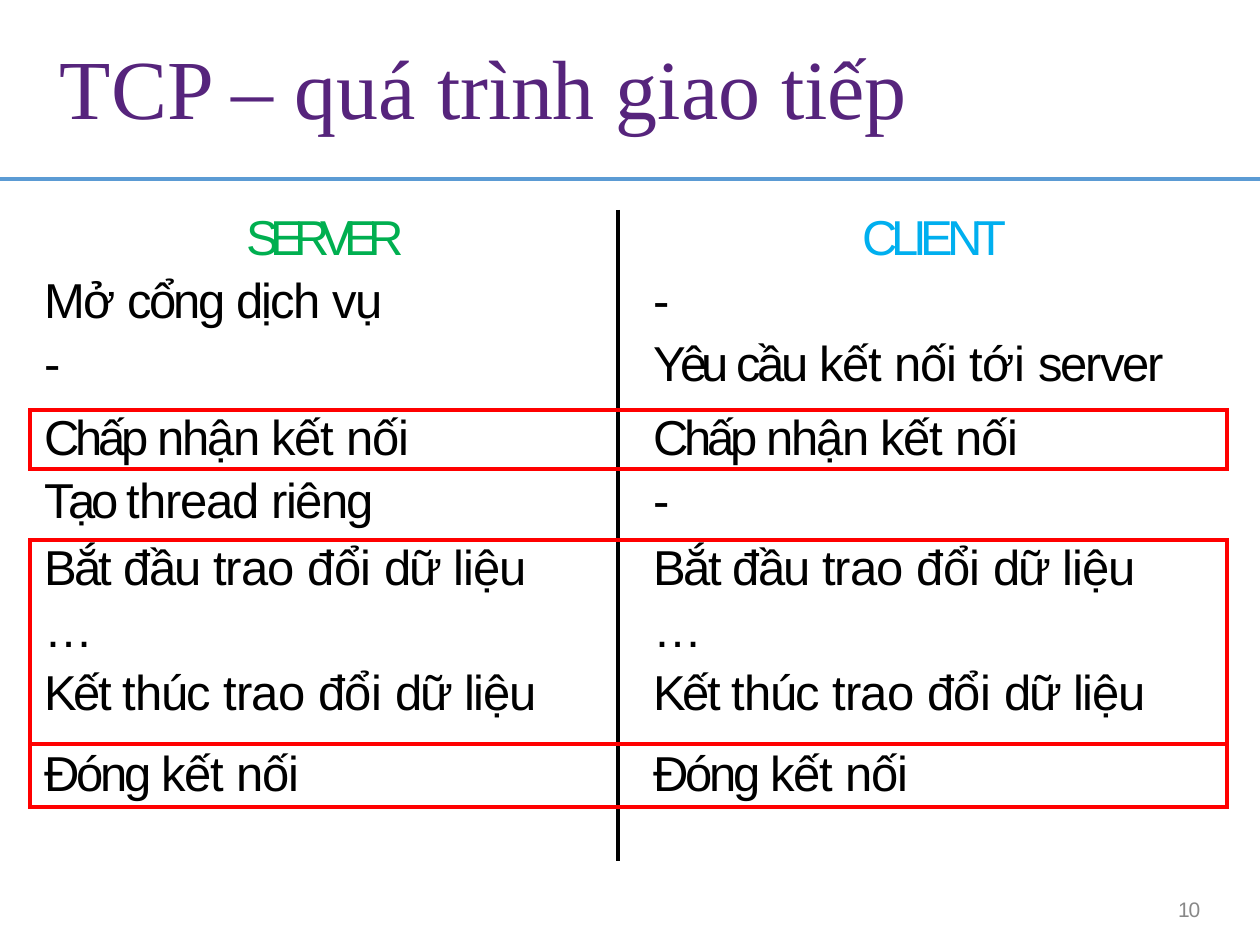
from lxml.etree import SubElement
from pptx import Presentation
from pptx.dml.color import RGBColor
from pptx.enum.shapes import MSO_CONNECTOR
from pptx.enum.text import MSO_ANCHOR, PP_ALIGN
from pptx.oxml.ns import qn
from pptx.util import Pt

PX = 914400 / 126
PURPLE = RGBColor(0x56, 0x24, 0x7C)
BLUE = RGBColor(0x5B, 0x9B, 0xD4)
GREEN = RGBColor(0x00, 0xAF, 0x50)
CYAN = RGBColor(0x00, 0xAF, 0xEF)
GRAY = RGBColor(0x88, 0x88, 0x88)
BLACK = RGBColor(0x00, 0x00, 0x00)
RED = RGBColor(0xFF, 0x00, 0x00)

# Letter spacing of each word in points; other words have none
WORD_SPACING = {
    "trình": -0.1, "tiếp": -0.1, "10": -0.6, "SERVER": -4.9, "CLIENT": -3.5,
    "Mở": -0.8, "cổng": -1.6, "dịch": -1, "vụ": -1.1,
    "Yêu": -3.2, "cầu": -1.9, "kết": -0.8, "nối": -0.6, "tới": -0.3, "server": -1.2,
    "Chấp": -2.4, "nhận": -1.2, "Tạo": -2.9, "thread": -0.7, "riêng": -0.9,
    "Bắt": -1.4, "đầu": -1.1, "trao": -0.5, "đổi": -0.3, "dữ": -1.4, "liệu": -0.6,
    "Kết": -1.6, "thúc": -0.7, "Đóng": -1.8,
}


def px(length):
    return round(length * PX)


def write_words(paragraph, text, font_name, size, color, indent=0):
    """Write one run per word, each with its own letter spacing."""
    words = text.split()
    for number, word in enumerate(words, 1):
        run = paragraph.add_run()
        run.text = word if number == len(words) else word + " "
        run.font.name = font_name
        run.font.size = Pt(size)
        run.font.color.rgb = color
        run._r.get_or_add_rPr().set("spc", str(round(WORD_SPACING.get(word, 0) * 100)))
    properties = paragraph._p.get_or_add_pPr()
    properties.set("marL", str(px(indent)))
    properties.set("indent", "0")


presentation = Presentation()
presentation.slide_width = px(1260)
presentation.slide_height = px(945)
slide = presentation.slides.add_slide(presentation.slide_layouts[5])

# Title and rule
title = slide.shapes.title
title.left, title.top, title.width, title.height = px(59), px(35), px(852), px(105)
title_frame = title.text_frame
title_frame.word_wrap = True
title_frame.vertical_anchor = MSO_ANCHOR.TOP
title_paragraph = title_frame.paragraphs[0]
title_paragraph.alignment = PP_ALIGN.LEFT
title_paragraph.space_before = Pt(1)
write_words(title_paragraph, "TCP – quá trình giao tiếp", "Times New Roman", 48, PURPLE, 1)

rule = slide.shapes.add_connector(MSO_CONNECTOR.STRAIGHT, 0, px(179), px(1260), px(179))
rule.line.color.rgb = BLUE
rule.line.width = Pt(2.04)
SubElement(rule._element.spPr, qn("a:effectLst"))

# Slide number
number_box = slide.shapes.add_textbox(px(1174), px(900), px(29), px(24))
number_frame = number_box.text_frame
number_frame.word_wrap = True
number_paragraph = number_frame.paragraphs[0]
number_paragraph.line_spacing = Pt(12.4)
write_words(number_paragraph, "10", "Arial", 12, GRAY, 4)

for frame in (title_frame, number_frame):
    frame.margin_left = frame.margin_right = frame.margin_bottom = 0
    frame.margin_top = 0
title_frame.margin_top = px(1)

# Table: height, top margin, boxed, line spacing of the first line, space before, texts
EXCHANGE = ["Bắt đầu trao đổi dữ liệu", "…", "Kết thúc trao đổi dữ liệu"]
ROWS = [
    (200, 0, False, 31.9, [0, 4.7, 4.7],
     [["SERVER", "Mở cổng dịch vụ", "-"], ["CLIENT", "-", "Yêu cầu kết nối tới server"]]),
    (59, 0, True, 32.2, [0], [["Chấp nhận kết nối"]] * 2),
    (71, 5, False, None, [3], [["Tạo thread riêng"], ["-"]]),
    (204, 1, True, None, [0.9, 4.5, 4.8], [EXCHANGE] * 2),
    (63, 0, True, 33, [0], [["Đóng kết nối"]] * 2),
    (54, 0, False, None, [], [[], []]),
]
HEADING_STYLES = {"SERVER": (GREEN, 2), "CLIENT": (CYAN, 24)}
INDENTS = [14, 35]
boxed_rows = [row[2] for row in ROWS]

table_shape = slide.shapes.add_table(len(ROWS), 2, px(30), px(210), px(1197), px(651))
table = table_shape.table
table.first_row = False
table.horz_banding = False
table.columns[0].width = px(588)
table.columns[1].width = px(609)

for row_index, (height, margin_top, boxed, first_line, spaces, texts) in enumerate(ROWS):
    table.rows[row_index].height = px(height)
    top = RED if any(boxed_rows[max(row_index - 1, 0):row_index + 1]) else None
    bottom = RED if any(boxed_rows[row_index:row_index + 2]) else None
    side = RED if boxed else None
    for column_index, lines in enumerate(texts):
        cell = table.cell(row_index, column_index)
        cell.margin_left = cell.margin_right = cell.margin_bottom = 0
        cell.margin_top = px(margin_top)

        left, right = (side, BLACK) if column_index == 0 else (BLACK, side)
        cell_properties = cell._tc.get_or_add_tcPr()
        for tag, color in (("lnL", left), ("lnR", right), ("lnT", top), ("lnB", bottom)):
            border = SubElement(cell_properties, qn("a:" + tag), w=str(Pt(2.25)))
            if color is None:
                SubElement(border, qn("a:noFill"))
            else:
                fill = SubElement(border, qn("a:solidFill"))
                SubElement(fill, qn("a:srgbClr"), val=str(color))
        cell.fill.background()

        for line_index, (text, space) in enumerate(zip(lines, spaces)):
            text_frame = cell.text_frame
            paragraph = text_frame.add_paragraph() if line_index else text_frame.paragraphs[0]
            color, indent = HEADING_STYLES.get(text, (BLACK, INDENTS[column_index]))
            paragraph.space_before = Pt(space)
            if text in HEADING_STYLES:
                paragraph.alignment = PP_ALIGN.CENTER
            if first_line and line_index == 0:
                paragraph.line_spacing = Pt(first_line)
            write_words(paragraph, text, "Arial", 28, color, indent)

presentation.save("out.pptx")
